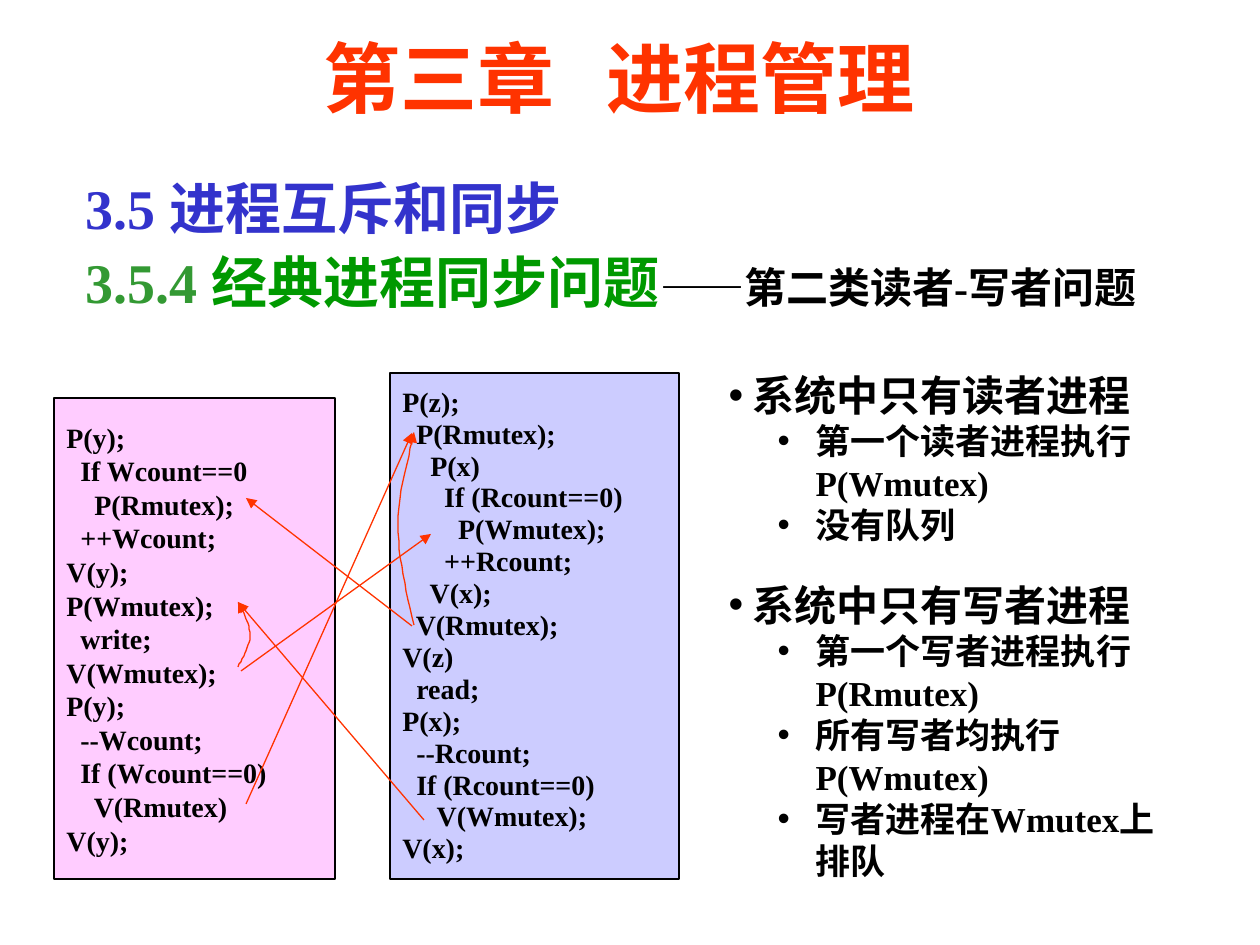
"""Build the slide on the second readers-writers problem."""
from lxml.etree import SubElement
from pptx import Presentation
from pptx.dml.color import RGBColor
from pptx.enum.shapes import MSO_CONNECTOR as CONN, MSO_SHAPE as SHAPE
from pptx.enum.text import MSO_ANCHOR as ANCHOR, MSO_AUTO_SIZE as AUTO, PP_ALIGN as ALIGN
from pptx.oxml.ns import qn
from pptx.util import Pt

PX = 914400 / 126


def px(*values):
    return [round(v * PX) for v in values]


def add_text(p, text, size=16, color="000000", spacing=1.0, before=0, align=ALIGN.LEFT):
    p.alignment, p.line_spacing, p.space_before = align, spacing, Pt(before)
    r = p.add_run()
    r.text = text
    r.font.name, r.font.size, r.font.bold = "Times New Roman", Pt(size), True
    r.font.color.rgb = RGBColor.from_string(color)


prs = Presentation()
prs.slide_width, prs.slide_height = px(1260, 945)
s = prs.slides.add_slide(prs.slide_layouts[3])
title, first, second = s.placeholders

title.left, title.top, title.width, title.height = px(147, 9, 945, 136)
tf = title.text_frame
tf.auto_size, tf.vertical_anchor = AUTO.NONE, ANCHOR.MIDDLE
add_text(tf.paragraphs[0], "第三章   进程管理", size=44, color="FF3300", align=ALIGN.CENTER)

tf = s.shapes.add_textbox(*px(73, 161, 1113, 160)).text_frame
tf.word_wrap = True
p = tf.paragraphs[0]
heading = dict(spacing=1.1, before=10)
add_text(p, "3.5 进程互斥和同步", size=32, color="3333CC", **heading)
p.add_line_break()
add_text(p, "3.5.4 ", size=32, color="339933", **heading)
add_text(p, "经典进程同步问题", size=32, color="009900", **heading)
add_text(p, "——第二类读者-写者问题", size=24, **heading)

writer = """P(y);
  If Wcount==0
    P(Rmutex);
  ++Wcount;
V(y);
P(Wmutex);
  write;
V(Wmutex);
P(y);
  --Wcount;
  If (Wcount==0)
    V(Rmutex)
V(y);"""
reader = """P(z);
  P(Rmutex);
    P(x)
      If (Rcount==0)
        P(Wmutex);
      ++Rcount;
    V(x);
  V(Rmutex);
V(z)
  read;
P(x);
  --Rcount;
  If (Rcount==0)
     V(Wmutex);
V(x);"""
for code, box, fill, spacing in [
    (writer, (54, 398, 281, 481), "FFCCFF", 1.0),
    (reader, (390, 373, 289, 506), "CCCCFF", 0.95),
]:
    sp = s.shapes.add_shape(SHAPE.RECTANGLE, *px(*box))
    sp.shadow.inherit = False
    sp.fill.solid()
    sp.fill.fore_color.rgb = RGBColor.from_string(fill)
    sp.line.color.rgb = RGBColor.from_string("000000")
    sp.line.width = Pt(0.75)
    tf = sp.text_frame
    tf.word_wrap, tf.vertical_anchor = True, ANCHOR.MIDDLE
    for i, line in enumerate(code.split("\n")):
        p = tf.add_paragraph() if i else tf.paragraphs[0]
        add_text(p, line, spacing=spacing)

arrows = [
    s.shapes.add_connector(CONN.STRAIGHT, *px(*ends))
    for ends in [
        (246, 804, 412, 433),
        (424, 820, 238, 602),
        (412, 626, 246, 498),
        (241, 671, 431, 534),
    ]
]
for curve in [
    [(238, 667), (244, 656), (250, 645), (250, 635), (250, 624), (241, 607), (238, 602)],
    [(414, 625), (406, 591), (398, 557), (398, 524), (398, 493), (411, 447), (414, 432)],
]:
    points = []
    for a, b, c, d in (curve[:4], curve[3:]):
        for t in (n / 12 for n in range(1, 13)):
            u = 1 - t
            points.append([
                u**3 * a[k] + 3 * u * u * t * b[k] + 3 * u * t * t * c[k] + t**3 * d[k]
                for k in (0, 1)
            ])
    fb = s.shapes.build_freeform(*curve[0], scale=PX)
    fb.add_line_segments(points, close=False)
    sp = fb.convert_to_shape()
    sp.fill.background()
    arrows.append(sp)
for arrow in arrows:
    arrow.line.color.rgb = RGBColor.from_string("FF3300")
    arrow.line.width = Pt(0.75)
    SubElement(arrow.line._get_or_add_ln(), qn("a:tailEnd"), type="triangle")
    SubElement(arrow._element.spPr, qn("a:effectLst"))

for sp, box, items in [
    (first, (716, 363, 507, 189),
     ["系统中只有读者进程", "第一个读者进程执行P(Wmutex)", "没有队列"]),
    (second, (716, 573, 476, 315),
     ["系统中只有写者进程", "第一个写者进程执行P(Rmutex)", "所有写者均执行P(Wmutex)",
      "写者进程在Wmutex上排队"]),
]:
    sp.left, sp.top, sp.width, sp.height = px(*box)
    tf = sp.text_frame
    tf.auto_size = AUTO.NONE
    for i, item in enumerate(items):
        p = tf.add_paragraph() if i else tf.paragraphs[0]
        p.level = 1 if i else 0
        add_text(p, item, size=20 if i else 24)
        margin, indent = px(87, -38) if i else px(24, -24)
        pPr = p._p.get_or_add_pPr()
        pPr.set("marL", str(margin))
        pPr.set("indent", str(indent))
        SubElement(pPr, qn("a:buChar"), char="•")

prs.save("out.pptx")
